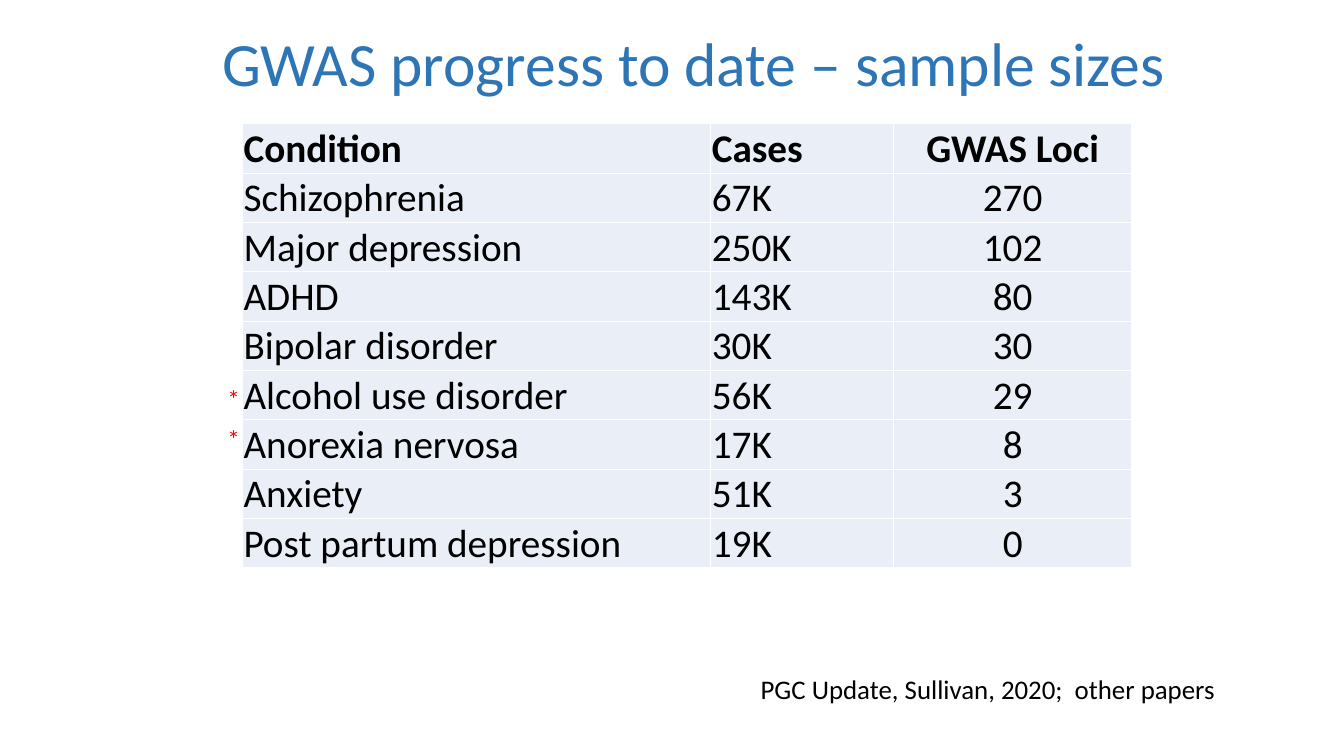
from lxml.etree import SubElement
from pptx import Presentation
from pptx.dml.color import RGBColor
from pptx.enum.text import MSO_ANCHOR as Anchor, MSO_AUTO_SIZE as AutoSize, PP_ALIGN as Align
from pptx.oxml.ns import qn
from pptx.util import Pt

EMU_PER_PX = 9525
TITLE_BLUE, BLACK, RED, WHITE, CELL_BLUE = "2E75B6", "000000", "FF0000", "FFFFFF", "EAEFF7"

COLUMN_WIDTHS = [446, 174, 227]
COLUMN_ALIGNMENTS = [Align.LEFT, Align.LEFT, Align.CENTER]
ROW_HEIGHT = 47
CONDITIONS = [
    ("Condition", "Cases", "GWAS Loci"),
    ("Schizophrenia", "67K", "270"),
    ("Major depression", "250K", "102"),
    ("ADHD", "143K", "80"),
    ("Bipolar disorder", "30K", "30"),
    ("Alcohol use disorder", "56K", "29"),
    ("Anorexia nervosa", "17K", "8"),
    ("Anxiety", "51K", "3"),
    ("Post partum depression", "19K", "0"),
]


def px(length):
    return length * EMU_PER_PX


def color(hex_value):
    return RGBColor.from_string(hex_value)


def set_attributes(target, values):
    for name, value in values.items():
        setattr(target, name, value)


def write(text_frame, text, size, hex_value, bold=False, **paragraph_format):
    paragraph = text_frame.paragraphs[0]
    paragraph.text = text
    set_attributes(paragraph, {"alignment": Align.LEFT, **paragraph_format})
    font = paragraph.runs[0].font
    set_attributes(font, {"name": "Calibri", "size": Pt(size), "bold": bold})
    font.color.rgb = color(hex_value)


def add_title(slide, left, top, width, height):
    title = slide.shapes.title
    set_attributes(title, {"left": px(left), "top": px(top),
                           "width": px(width), "height": px(height)})
    set_attributes(title.text_frame, {"word_wrap": True, "auto_size": AutoSize.NONE,
                                      "vertical_anchor": Anchor.MIDDLE})
    write(title.text_frame, "GWAS progress to date – sample sizes", 44, TITLE_BLUE,
          line_spacing=0.9)


def add_text(slide, box, text, size, hex_value, **paragraph_format):
    text_box = slide.shapes.add_textbox(*map(px, box))
    text_box.text_frame.word_wrap = True
    write(text_box.text_frame, text, size, hex_value, **paragraph_format)


def add_borders(cell):
    properties = cell._tc.get_or_add_tcPr()
    for position, side in enumerate(("lnL", "lnR", "lnT", "lnB")):
        line = SubElement(properties, qn(f"a:{side}"), w=str(Pt(1)))
        fill = SubElement(line, qn("a:solidFill"))
        SubElement(fill, qn("a:srgbClr"), val=WHITE)
        properties.insert(position, line)


def add_condition_table(slide, left, top):
    table = slide.shapes.add_table(
        len(CONDITIONS), len(COLUMN_WIDTHS), px(left), px(top),
        px(sum(COLUMN_WIDTHS)), px(ROW_HEIGHT * len(CONDITIONS))).table
    for column, width in zip(table.columns, COLUMN_WIDTHS):
        column.width = px(width)
    for row_index, (row, values) in enumerate(zip(table.rows, CONDITIONS)):
        row.height = px(ROW_HEIGHT)
        for cell, value, alignment in zip(row.cells, values, COLUMN_ALIGNMENTS):
            set_attributes(cell, {"margin_left": px(1), "margin_right": px(1),
                                  "margin_top": px(1), "margin_bottom": 0,
                                  "vertical_anchor": Anchor.BOTTOM})
            cell.fill.solid()
            cell.fill.fore_color.rgb = color(CELL_BLUE)
            add_borders(cell)
            write(cell.text_frame, value, 28, BLACK, bold=row_index == 0,
                  alignment=alignment)


def add_row_marks(slide, left, top, width, height):
    """Stack two red asterisks beside the marked table rows."""
    for index in range(2):
        add_text(slide, (left, top + index * height, width, height), "*", 18, RED)


def main():
    presentation = Presentation()
    set_attributes(presentation, {"slide_width": px(1280), "slide_height": px(720)})
    slide = presentation.slides.add_slide(presentation.slide_layouts.get_by_name("Title Only"))
    add_title(slide, 202, -6, 1104, 139)
    add_text(slide, (715, 644, 492, 37), "PGC Update, Sullivan, 2020;  other papers",
             19.2, BLACK, line_spacing=0.7)
    add_condition_table(slide, 231, 118)
    add_row_marks(slide, 207, 360, 24, 38)
    presentation.save("out.pptx")


if __name__ == "__main__":
    main()
